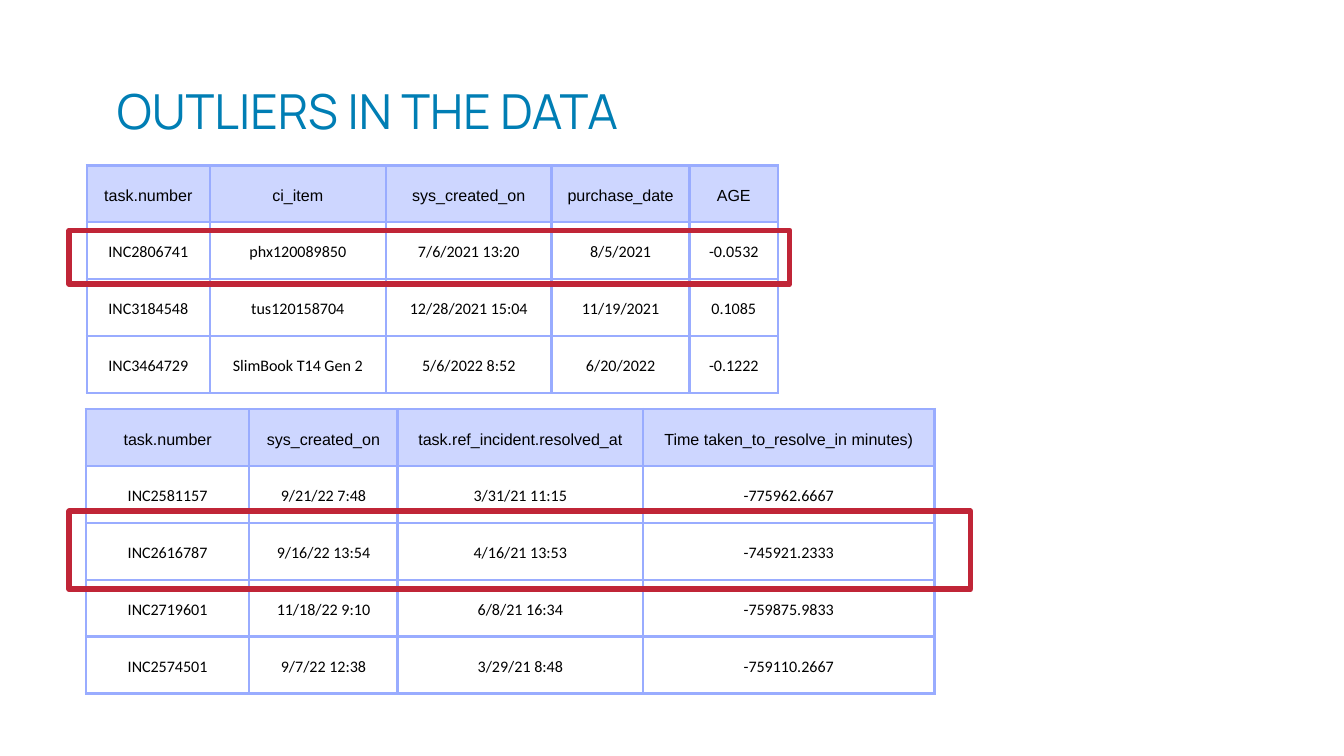
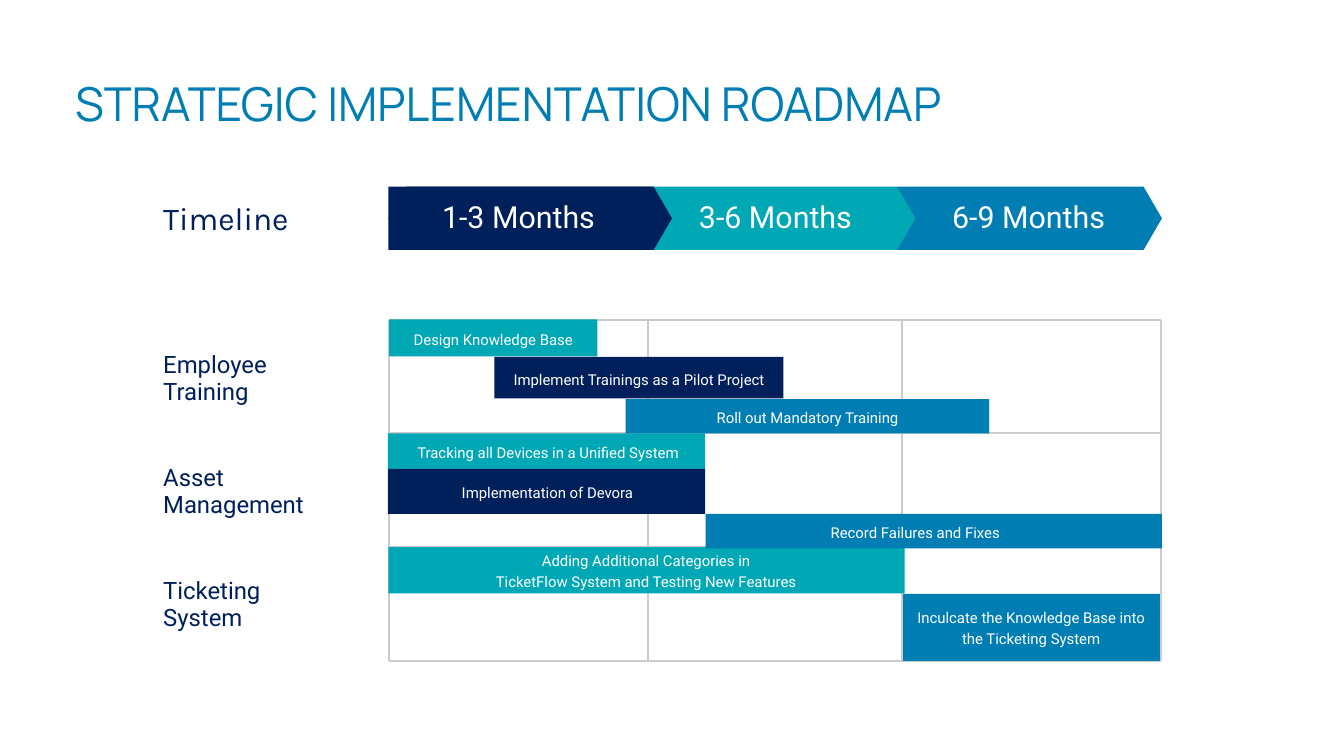
from pptx import Presentation
from pptx.dml.color import RGBColor
from pptx.enum.shapes import MSO_CONNECTOR, MSO_SHAPE
from pptx.enum.text import MSO_ANCHOR, PP_ALIGN
from pptx.oxml.ns import qn
from pptx.util import Cm, Pt
from lxml import etree

LINE = MSO_CONNECTOR.STRAIGHT
RECT, HEXAGON = MSO_SHAPE.RECTANGLE, MSO_SHAPE.HEXAGON
LEFT, CENTER, JUSTIFY = PP_ALIGN.LEFT, PP_ALIGN.CENTER, PP_ALIGN.JUSTIFY
MIDDLE = MSO_ANCHOR.MIDDLE

BLUE = RGBColor(0x00, 0x7E, 0xB4)
NAVY = RGBColor(0x00, 0x20, 0x5B)
TEAL = RGBColor(0x00, 0xA7, 0xB5)
RED = RGBColor(0xC0, 0x25, 0x37)
GREY = RGBColor(0xCB, 0xCB, 0xCB)
HEADER_FILL = RGBColor(0xCD, 0xD6, 0xFF)
BORDER = RGBColor(0x99, 0xAC, 0xFF)
BLACK = RGBColor(0x00, 0x00, 0x00)
WHITE = RGBColor(0xFF, 0xFF, 0xFF)

# Text styles: line spacing in points and font format
TITLE = (78.4, {"name": "Manrope", "size": Pt(51.7), "color": BLUE})
LONG_TITLE = (70, {"name": "Manrope", "size": Pt(50), "color": BLUE})
HEAD_CELL = (24.1, {"name": "Arial", "size": Pt(17.2), "color": BLACK})
BODY_CELL = (24.1, {"name": "Calibri", "size": Pt(17.2), "color": BLACK})
TIMELINE = (39.2, {"name": "Karla", "size": Pt(34.1), "color": NAVY})
PERIOD = (37.4, {"name": "Roboto", "size": Pt(32.5), "color": WHITE})
AREA = (29.4, {"name": "Roboto", "size": Pt(25.6), "color": NAVY})
TASK = (22.4, {"name": "Roboto", "size": Pt(16), "color": WHITE})


def write(tf, text, style, align=LEFT):
    spacing, font = style
    tf.word_wrap = True
    for i, line in enumerate(text.split("\n")):
        p = tf.paragraphs[0] if i == 0 else tf.add_paragraph()
        p.alignment = align
        p.line_spacing = Pt(spacing)
        r = p.add_run()
        r.text = line
        for key, value in font.items():
            if key == "color":
                r.font.color.rgb = value
            else:
                setattr(r.font, key, value)


def add_text(s, box, text, style, align=LEFT):
    tf = s.shapes.add_textbox(*map(Cm, box)).text_frame
    for side in ("left", "top", "right", "bottom"):
        setattr(tf, f"margin_{side}", 0)
    write(tf, text, style, align)


prs = Presentation()
prs.slide_width, prs.slide_height = Cm(50.8), Cm(28.58)
blank = prs.slide_layouts[6]

# Slide 1: outlier tables, each with one highlighted row
s = prs.slides.add_slide(blank)
ROW_HEIGHT = 2.15
tables = [
    (3.28, 6.25, [4.65, 6.65, 6.27, 5.21, 3.35], [
        ["task.number", "ci_item", "sys_created_on", "purchase_date", "AGE"],
        ["INC2806741", "phx120089850", "7/6/2021 13:20", "8/5/2021", "-0.0532"],
        ["INC3184548", "tus120158704", "12/28/2021 15:04", "11/19/2021", "0.1085"],
        ["INC3464729", "SlimBook T14 Gen 2", "5/6/2022 8:52", "6/20/2022", "-0.1222"],
    ], (2.62, 8.71, 27.23, 2.03)),
    (3.25, 15.47, [6.17, 5.61, 9.27, 11.02], [
        ["task.number", "sys_created_on", "task.ref_incident.resolved_at",
         "Time taken_to_resolve_in minutes)"],
        ["INC2581157", "9/21/22 7:48", "3/31/21 11:15", "-775962.6667"],
        ["INC2616787", "9/16/22 13:54", "4/16/21 13:53", "-745921.2333"],
        ["INC2719601", "11/18/22 9:10", "6/8/21 16:34", "-759875.9833"],
        ["INC2574501", "9/7/22 12:38", "3/29/21 8:48", "-759110.2667"],
    ], (2.62, 19.33, 34.06, 2.95)),
]
for x, y, widths, rows, highlight in tables:
    table = s.shapes.add_table(len(rows), len(widths), Cm(x), Cm(y), Cm(sum(widths)),
                               Cm(ROW_HEIGHT * len(rows))).table
    for column, width in zip(table.columns, widths):
        column.width = Cm(width)
    for i, values in enumerate(rows):
        table.rows[i].height = Cm(ROW_HEIGHT)
        for j, value in enumerate(values):
            cell = table.cell(i, j)
            cell.vertical_anchor = MIDDLE
            for side in ("left", "top", "right", "bottom"):
                setattr(cell, f"margin_{side}", Cm(0.53))
            write(cell.text_frame, value, BODY_CELL if i else HEAD_CELL, CENTER)
            # Borders come before the fill in the cell properties
            tcPr = cell._tc.get_or_add_tcPr()
            for tag in ("a:lnL", "a:lnR", "a:lnT", "a:lnB"):
                ln = etree.SubElement(tcPr, qn(tag), w=str(Pt(3)))
                fill = etree.SubElement(ln, qn("a:solidFill"))
                etree.SubElement(fill, qn("a:srgbClr"), val=str(BORDER))
            if i:
                cell.fill.background()
            else:
                cell.fill.solid()
                cell.fill.fore_color.rgb = HEADER_FILL

    frame = s.shapes.add_shape(RECT, *map(Cm, highlight))
    frame.shadow.inherit = False
    frame.fill.background()
    frame.line.color.rgb = RED
    frame.line.width = Pt(6)
    etree.SubElement(frame.line._get_or_add_ln(), qn("a:round"))

add_text(s, (4.42, 2.51, 27.86, 2.69), "OUTLIERS IN THE DATA", TITLE)

# Slide 2: roadmap
s = prs.slides.add_slide(blank)
add_text(s, (2.84, 2.49, 35.23, 2.49), "STRATEGIC IMPLEMENTATION ROADMAP",
         LONG_TITLE, JUSTIFY)

# Grid lines
xs, ys = [14.71, 24.49, 34.09, 43.87], [12.1, 16.37, 20.68, 25]
grid = [(x, ys[0], x, ys[-1]) for x in xs] + [(xs[0], y, xs[-1], y) for y in ys]
for ends in grid:
    line = s.shapes.add_connector(LINE, *map(Cm, ends))
    line.line.color.rgb = GREY
    line.line.width = Pt(2.25)
    etree.SubElement(line._element.spPr, qn("a:effectLst"))

# Timeline arrows and task bars
blocks = [
    (HEXAGON, (33.2, 7.06, 10.72, 2.39), BLUE),
    (RECT, (14.68, 7.06, 9.93, 2.39), NAVY),
    (HEXAGON, (23.88, 7.06, 10.72, 2.39), TEAL),
    (HEXAGON, (14.68, 7.06, 10.72, 2.39), NAVY),
    (RECT, (14.71, 12.07, 7.87, 1.4), TEAL),
    (RECT, (14.66, 16.38, 11.99, 1.35), TEAL),
    (RECT, (14.68, 20.68, 19.51, 1.75), TEAL),
    (RECT, (18.69, 13.49, 10.92, 1.57), NAVY),
    (RECT, (14.66, 17.73, 11.99, 1.7), NAVY),
    (RECT, (34.14, 22.45, 9.7, 2.54), BLUE),
    (RECT, (26.67, 19.43, 17.25, 1.3), BLUE),
    (RECT, (23.65, 15.09, 13.74, 1.3), BLUE),
]
for kind, box, color in blocks:
    sp = s.shapes.add_shape(kind, *map(Cm, box))
    sp.shadow.inherit = False
    sp.fill.solid()
    sp.fill.fore_color.rgb = color
    sp.line.fill.background()
    if kind == HEXAGON:
        sp.adjustments[0] = 0.29

# Timeline labels
add_text(s, (6.17, 7.59, 5.51, 1.42), "Timeline", TIMELINE)
for x, text in [(16.71, "1-3 Months"), (26.42, "3-6 Months"), (35.99, "6-9 Months")]:
    add_text(s, (x, 7.55, 6.3, 1.35), text, PERIOD)

# Work areas
for i, text in enumerate(["Employee\nTraining", "Asset Management", "Ticketing System"]):
    add_text(s, (6.17, 13.26 + 4.27 * i, 6.53, 2.08), text, AREA)

# Task names
tasks = [
    ((13.26, 12.37, 10.77, 0.76), "Design Knowledge Base"),
    ((18.06, 13.89, 12.19, 0.76), "Implement Trainings as a Pilot Project"),
    ((26.64, 15.32, 7.77, 0.76), "Roll out Mandatory Training"),
    ((14.76, 16.66, 11.91, 0.76), "Tracking all Devices in a Unified System"),
    ((16.81, 18.16, 7.77, 0.76), "Implementation of Devora"),
    ((30.71, 19.69, 7.77, 0.76), "Record Failures and Fixes"),
    ((14.73, 20.75, 19.38, 1.52),
     "Adding Additional Categories in\nTicketFlow System and Testing New Features"),
    ((34.39, 22.89, 9.17, 1.52), "Inculcate the Knowledge Base into the Ticketing System"),
]
for box, text in tasks:
    add_text(s, box, text, TASK, CENTER)

prs.save("out.pptx")
